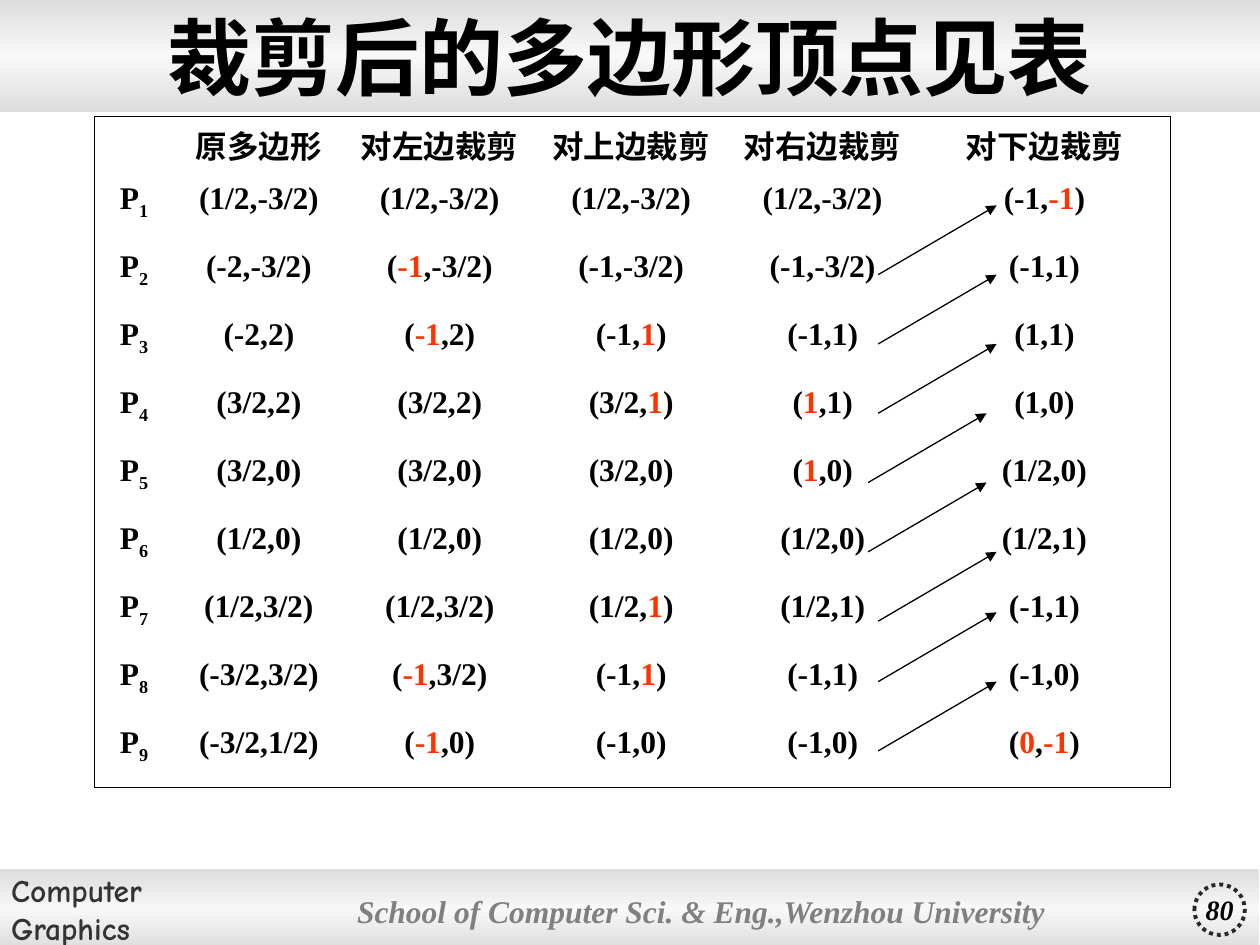
from pptx import Presentation
from pptx.dml.color import RGBColor
from pptx.enum.dml import MSO_LINE
from pptx.enum.shapes import MSO_CONNECTOR, MSO_SHAPE
from pptx.enum.text import MSO_ANCHOR, PP_ALIGN
from pptx.oxml import parse_xml
from pptx.oxml.ns import nsdecls, qn
from pptx.util import Inches, Pt

COLORS = {"black": "000000", "red": "FF3300", "edge": "DDDDDD", "middle": "F8F8F8",
          "course": "333333", "school": "808080", "ring": "292929"}
FONT = "Times New Roman"
COL_WIDTHS = [0.63, 1.35, 1.52, 1.52, 1.52, 2]
HEADER_HEIGHT, ROW_HEIGHT = 0.47, 0.54
HEADERS = ["", "原多边形", "对左边裁剪", "对上边裁剪", "对右边裁剪", "对下边裁剪"]
VERTICES = [
    ["(1/2,-3/2)", "(1/2,-3/2)", "(1/2,-3/2)", "(1/2,-3/2)", "(-1,*-1*)"],
    ["(-2,-3/2)", "(*-1*,-3/2)", "(-1,-3/2)", "(-1,-3/2)", "(-1,1)"],
    ["(-2,2)", "(*-1*,2)", "(-1,*1*)", "(-1,1)", "(1,1)"],
    ["(3/2,2)", "(3/2,2)", "(3/2,*1*)", "(*1*,1)", "(1,0)"],
    ["(3/2,0)", "(3/2,0)", "(3/2,0)", "(*1*,0)", "(1/2,0)"],
    ["(1/2,0)", "(1/2,0)", "(1/2,0)", "(1/2,0)", "(1/2,1)"],
    ["(1/2,3/2)", "(1/2,3/2)", "(1/2,*1*)", "(1/2,1)", "(-1,1)"],
    ["(-3/2,3/2)", "(*-1*,3/2)", "(-1,*1*)", "(-1,1)", "(-1,0)"],
    ["(-3/2,1/2)", "(*-1*,0)", "(-1,0)", "(-1,0)", "(*0*,*-1*)"],
]
ARROW_STARTS = [(6.97, 2.18), (6.97, 2.73), (6.97, 3.28), (6.89, 3.83),
                (6.89, 4.38), (6.97, 4.93), (6.97, 5.41), (6.97, 5.96)]
ARROW_RUN, ARROW_RISE = 0.94, 0.55


def rgb(name):
    """Return the named colour."""
    return RGBColor.from_string(COLORS[name])


def add_run(p, text, size=18, color="black", font=FONT, italic=False, baseline=None):
    """Add one bold run to a paragraph."""
    r = p.add_run()
    r.text = text
    r.font.name, r.font.size = font, Pt(size)
    r.font.bold, r.font.italic = True, italic
    r.font.color.rgb = rgb(color)
    if baseline:
        r.font._element.set("baseline", str(baseline * 1000))


def write_text(tf, text, align=PP_ALIGN.LEFT, wrap=False, margins=(0.1, 0.05), **fmt):
    """Fill a text frame, one paragraph for each line."""
    tf.word_wrap, tf.vertical_anchor = wrap, MSO_ANCHOR.MIDDLE
    tf.margin_left = tf.margin_right = Inches(margins[0])
    tf.margin_top = tf.margin_bottom = Inches(margins[1])
    for i, line in enumerate(text.split("\n")):
        p = tf.add_paragraph() if i else tf.paragraphs[0]
        p.alignment = align
        add_run(p, line, **fmt)


def add_plain(slide, kind, box):
    """Add a preset shape without fill, line or shadow."""
    s = slide.shapes.add_shape(kind, *map(Inches, box))
    s.shadow.inherit = False
    s.fill.background()
    s.line.fill.background()
    return s


def add_band(slide, box):
    """Add a grey band that is lighter across its middle."""
    s = add_plain(slide, MSO_SHAPE.RECTANGLE, box)
    s.fill.gradient()
    s.fill.gradient_angle = 90
    stops = "".join(
        f'<a:gs pos="{pos * 1000}"><a:srgbClr val="{COLORS[name]}"/></a:gs>'
        for pos, name in ((0, "edge"), (50, "middle"), (100, "edge")))
    grad = s._element.spPr.find(qn("a:gradFill"))
    grad.replace(grad.find(qn("a:gsLst")),
                 parse_xml(f'<a:gsLst {nsdecls("a")}>{stops}</a:gsLst>'))
    return s


def set_borders(cell, sides):
    """Draw the given sides of a cell and clear the others."""
    tc_pr = cell._tc.get_or_add_tcPr()
    solid = f'<a:solidFill><a:srgbClr val="{COLORS["black"]}"/></a:solidFill>'
    for i, side in enumerate("LRTB"):
        fill = solid if side in sides else "<a:noFill/>"
        tc_pr.insert(i, parse_xml(
            f'<a:ln{side} {nsdecls("a")} w="{Pt(0.45)}">{fill}</a:ln{side}>'))


def write_cell(cell, text):
    """Write a cell, with the parts between asterisks in red."""
    cell.fill.background()
    p = cell.text_frame.paragraphs[0]
    p.alignment = PP_ALIGN.CENTER
    p.font.size = Pt(18)
    for i, part in enumerate(text.split("*")):
        if part:
            add_run(p, part, color="red" if i % 2 else "black")


def add_vertex_table(slide):
    """Add the table of vertices after each clipping step."""
    rows = [HEADERS] + [["P"] + row for row in VERTICES]
    heights = [HEADER_HEIGHT] + [ROW_HEIGHT] * len(VERTICES)
    last_row, last_col = len(rows) - 1, len(COL_WIDTHS) - 1
    table = slide.shapes.add_table(
        len(rows), len(COL_WIDTHS), Inches(0.75), Inches(0.92),
        Inches(sum(COL_WIDTHS)), Inches(sum(heights))).table
    table.first_row = table.horz_banding = False
    for col, width in zip(table.columns, COL_WIDTHS):
        col.width = Inches(width)
    for i, (row, height) in enumerate(zip(rows, heights)):
        table.rows[i].height = Inches(height)
        for j, text in enumerate(row):
            cell = table.cell(i, j)
            write_cell(cell, text)
            if i and not j:
                add_run(cell.text_frame.paragraphs[0], str(i), baseline=-25)
            edges = {"L": j == 0, "R": j == last_col, "T": i == 0, "B": i == last_row}
            set_borders(cell, [side for side, outer in edges.items() if outer])


def add_arrow(slide, x, y):
    """Add an arrow rising to the right from a point."""
    c = slide.shapes.add_connector(
        MSO_CONNECTOR.STRAIGHT, Inches(x), Inches(y),
        Inches(x + ARROW_RUN), Inches(y - ARROW_RISE))
    c.line.color.rgb, c.line.width = rgb("black"), Pt(0.75)
    c.line._get_or_add_ln().append(
        parse_xml(f'<a:tailEnd {nsdecls("a")} type="triangle"/>'))
    c._element.spPr.append(parse_xml(f'<a:effectLst {nsdecls("a")}/>'))


def add_frame(slide):
    """Add the title band and the footer."""
    footer = add_band(slide, (-0.01, 6.9, 10, 0.63))
    write_text(footer.text_frame, "Computer\nGraphics", color="course", font="Comic Neue")
    add_band(slide, (0, 0, 10, 0.89))
    school = add_plain(slide, MSO_SHAPE.ROUNDED_RECTANGLE, (2.78, 6.9, 5.99, 0.66))
    school.adjustments[0] = 0.02
    write_text(school.text_frame, "School of Computer Sci. & Eng.,Wenzhou University",
               margins=(0.05, 0.02), color="school", italic=True)
    ring = add_plain(slide, MSO_SHAPE.OVAL, (9.48, 7.02, 0.4, 0.4))
    ring.line.color.rgb, ring.line.width = rgb("ring"), Pt(2.25)
    ring.line.dash_style = MSO_LINE.ROUND_DOT
    write_text(ring.text_frame, "80", align=PP_ALIGN.CENTER, size=16, italic=True)


def main():
    """Build the slide and save it."""
    prs = Presentation()
    prs.slide_width, prs.slide_height = Inches(10), Inches(7.5)
    slide = prs.slides.add_slide(prs.slide_layouts[6])
    add_frame(slide)
    add_vertex_table(slide)
    for x, y in ARROW_STARTS:
        add_arrow(slide, x, y)
    title = slide.shapes.add_textbox(Inches(0), Inches(0.05), Inches(10), Inches(0.79))
    write_text(title.text_frame, "裁剪后的多边形顶点见表",
               align=PP_ALIGN.CENTER, wrap=True, size=48)
    prs.save("out.pptx")


if __name__ == "__main__":
    main()
